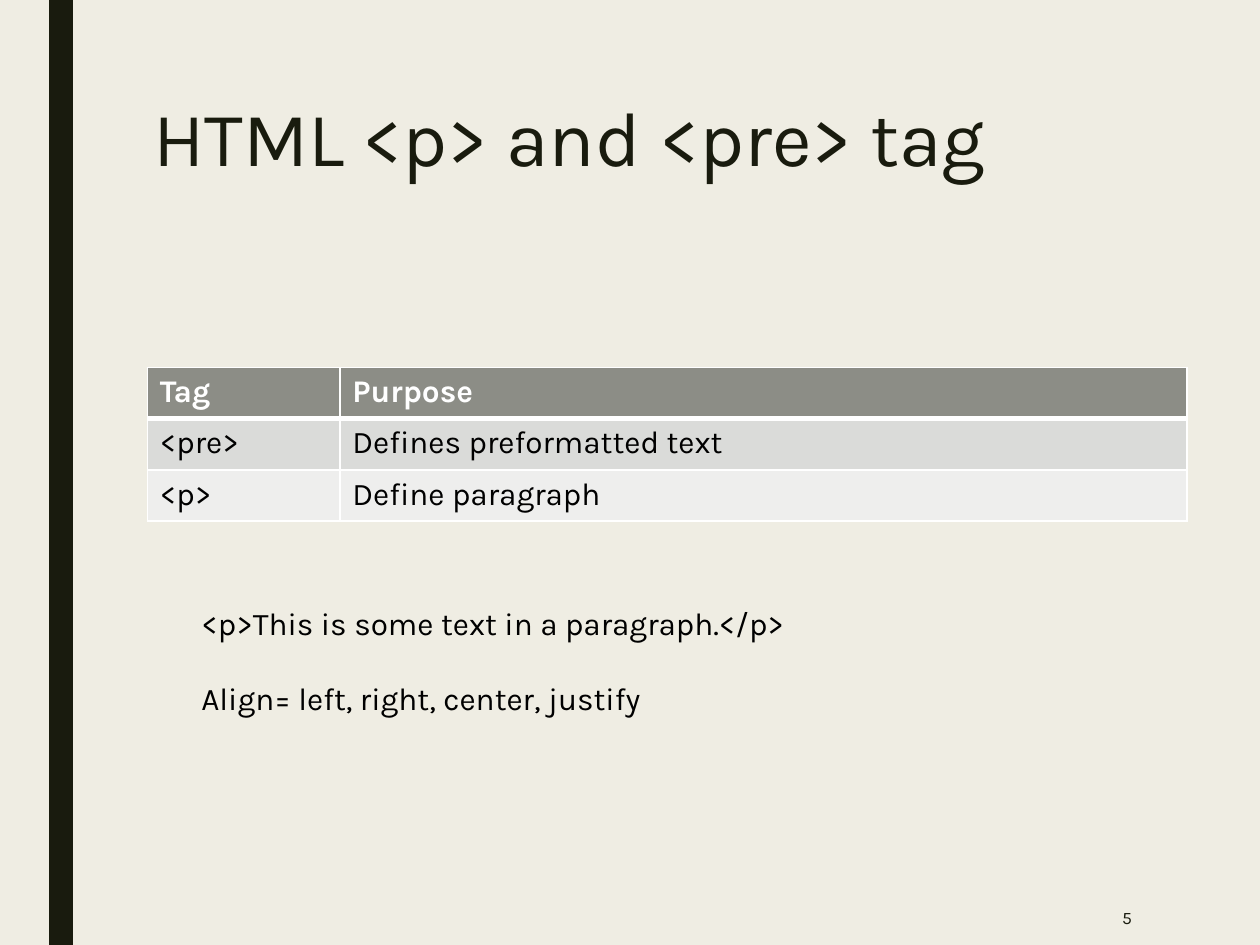
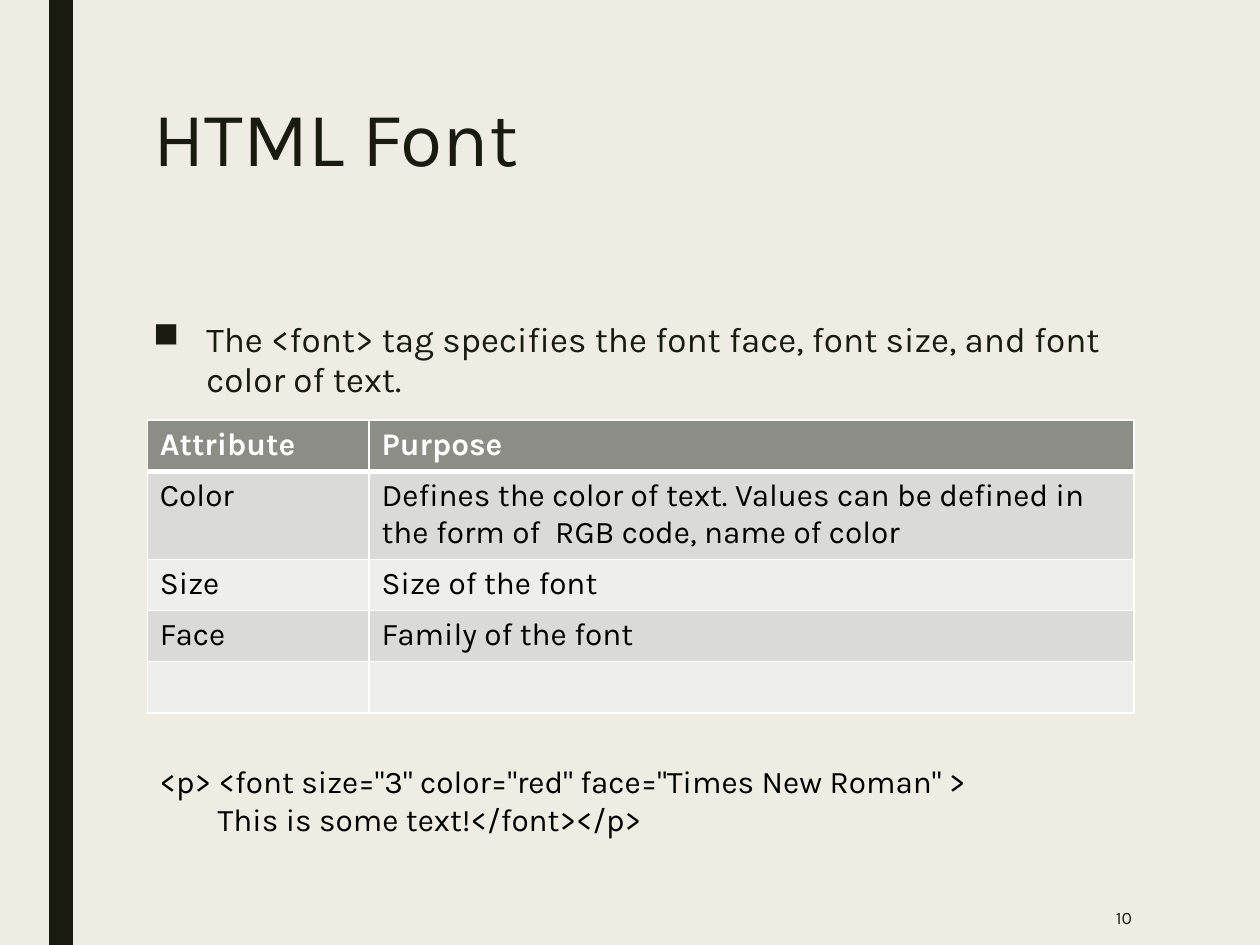
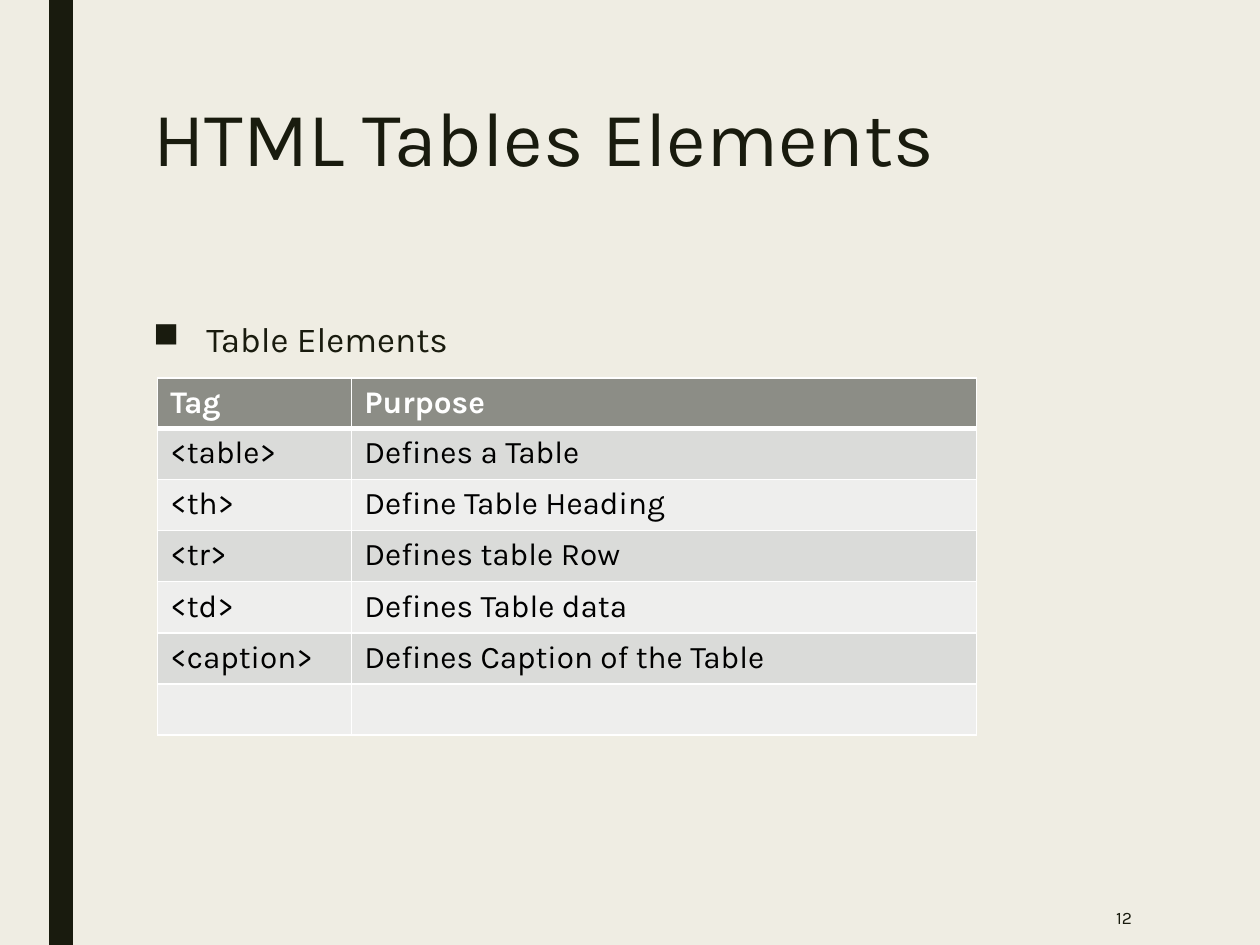
"""Build three slides about HTML tags, each with a title, a table and short notes."""
import pptx
import pptx.dml.color
import pptx.enum.shapes
import pptx.enum.text
import pptx.oxml
import pptx.oxml.ns
import pptx.util
from lxml import etree

Cm = pptx.util.Cm
Pt = pptx.util.Pt

FONT = "Karla"
COLOURS = {
    "background": "EFEDE3",
    "dark": "191B0E",
    "text": "000000",
    "white": "FFFFFF",
    "header": "8C8D86",
    "odd_row": "DADBD9",
    "even_row": "EEEEED",
}

BAND = (0.99, 0, 0.48, 19.05)
TITLE_BOX = (2.84, 1.9, 20.02, 4.11)
BODY_BOX = (2.84, 6.35, 20.02, 9.96)
NUMBER_BOX = (19.74, 17.93, 3.33, 1.12)
ROW_HEIGHT = 1.03
BULLET_INDENT = 1.07

SLIDES = [
    {
        "title": "HTML <p> and <pre> tag",
        "number": "5",
        "table": {
            "left": 2.97, "top": 7.41, "columns": (3.88, 17.08),
            "rows": [
                ("Tag", "Purpose"),
                ("<pre>", "Defines preformatted text"),
                ("<p>", "Define paragraph"),
            ],
        },
        "example": {
            "box": (3.81, 12.06, 20.52, 2.57),
            "lines": ["<p>This is some text in a paragraph.</p>",
                      "Align= left, right, center, justify"],
            "gap": 21, "indent": 0,
        },
    },
    {
        "title": "HTML Font",
        "number": "10",
        "bullet": "The <font> tag specifies the font face, font size, and font color of text.",
        "table": {
            "left": 2.97, "top": 8.47, "columns": (4.47, 15.42),
            "rows": [
                ("Attribute", "Purpose"),
                ("Color", "Defines the color of text. Values can be defined in "
                          "the form of  RGB code, name of color"),
                ("Size", "Size of the font"),
                ("Face", "Family of the font"),
                ("", ""),
            ],
        },
        "example": {
            "box": (2.97, 15.24, 22.43, 1.8),
            "lines": ['<p> <font size="3" color="red" face="Times New Roman" >',
                      "This is some text!</font></p>"],
            "gap": 0, "indent": 1.17,
        },
    },
    {
        "title": "HTML Tables Elements",
        "number": "12",
        "bullet": "Table Elements",
        "table": {
            "left": 3.18, "top": 7.62, "columns": (3.91, 12.6), "header_height": 0.61,
            "rows": [
                ("Tag", "Purpose"),
                ("<table>", "Defines a Table"),
                ("<th>", "Define Table Heading"),
                ("<tr>", "Defines table Row"),
                ("<td>", "Defines Table data"),
                ("<caption>", "Defines Caption of the Table"),
                ("", ""),
            ],
        },
    },
]


def colour(name):
    return pptx.dml.color.RGBColor.from_string(COLOURS[name])


def add_run(paragraph, text, size, colour_name, bold=False):
    run = paragraph.add_run()
    run.text = text
    run.font.name = FONT
    run.font.size = Pt(size)
    run.font.bold = bold
    run.font.color.rgb = colour(colour_name)


def add_text(slide, box, lines, size, colour_name):
    frame = slide.shapes.add_textbox(*map(Cm, box)).text_frame
    frame.word_wrap = True
    for index, line in enumerate(lines):
        paragraph = frame.add_paragraph() if index else frame.paragraphs[0]
        add_run(paragraph, line, size, colour_name)
    return frame


def set_indent(paragraph, left, first_line=0):
    properties = paragraph._p.get_or_add_pPr()
    properties.set("marL", str(Cm(left)))
    properties.set("indent", str(Cm(first_line)))
    return properties


def add_band(slide):
    band = slide.shapes.add_shape(pptx.enum.shapes.MSO_SHAPE.RECTANGLE, *map(Cm, BAND))
    band.shadow.inherit = False
    band.fill.solid()
    band.fill.fore_color.rgb = colour("dark")
    band.line.fill.background()


def add_title(slide, title):
    frame = add_text(slide, TITLE_BOX, [title], 44, "dark")
    frame.paragraphs[0].line_spacing = 0.89


def add_number(slide, number):
    frame = add_text(slide, NUMBER_BOX, [number], 10, "dark")
    frame.vertical_anchor = pptx.enum.text.MSO_ANCHOR.MIDDLE
    frame.paragraphs[0].alignment = pptx.enum.text.PP_ALIGN.RIGHT


def add_bullet(slide, text):
    paragraph = add_text(slide, BODY_BOX, [text], 20, "dark").paragraphs[0]
    paragraph.line_spacing = 0.94
    paragraph.space_before = Pt(10)
    paragraph.space_after = Pt(2)
    properties = set_indent(paragraph, BULLET_INDENT, -BULLET_INDENT)
    etree.SubElement(properties, pptx.oxml.ns.qn("a:buChar")).set("char", "■")


def add_example(slide, example):
    frame = add_text(slide, example["box"], example["lines"], 18, "text")
    for paragraph in frame.paragraphs[1:]:
        paragraph.space_before = Pt(example["gap"])
        set_indent(paragraph, example["indent"])


def set_borders(cell, row_index):
    properties = cell._tc.get_or_add_tcPr()
    widths = {"lnL": 1, "lnR": 1,
              "lnT": 3 if row_index == 1 else 1,
              "lnB": 3 if row_index == 0 else 1}
    for side, width in widths.items():
        line = etree.SubElement(properties, pptx.oxml.ns.qn(f"a:{side}"), w=str(Pt(width)))
        fill = etree.SubElement(line, pptx.oxml.ns.qn("a:solidFill"))
        etree.SubElement(fill, pptx.oxml.ns.qn("a:srgbClr"), val=COLOURS["white"])


def add_table(slide, content):
    rows, columns = content["rows"], content["columns"]
    heights = [content.get("header_height", ROW_HEIGHT)] + [ROW_HEIGHT] * (len(rows) - 1)
    table = slide.shapes.add_table(
        len(rows), len(columns), Cm(content["left"]), Cm(content["top"]),
        Cm(sum(columns)), Cm(sum(heights))).table
    table.horz_banding = False
    for column, width in zip(table.columns, columns):
        column.width = Cm(width)
    for row_index, (values, height) in enumerate(zip(rows, heights)):
        table.rows[row_index].height = Cm(height)
        is_header = row_index == 0
        fill_name = "header" if is_header else "odd_row" if row_index % 2 else "even_row"
        for column_index, value in enumerate(values):
            cell = table.cell(row_index, column_index)
            set_borders(cell, row_index)
            cell.fill.solid()
            cell.fill.fore_color.rgb = colour(fill_name)
            if value:
                add_run(cell.text_frame.paragraphs[0], value, 18,
                        "white" if is_header else "text", is_header)


def main():
    presentation = pptx.Presentation()
    presentation.slide_width, presentation.slide_height = Cm(25.4), Cm(19.05)
    background = presentation.slide_master.background.fill
    background.solid()
    background.fore_color.rgb = colour("background")
    for content in SLIDES:
        slide = presentation.slides.add_slide(presentation.slide_layouts[6])
        add_band(slide)
        add_title(slide, content["title"])
        if "bullet" in content:
            add_bullet(slide, content["bullet"])
        add_number(slide, content["number"])
        add_table(slide, content["table"])
        if "example" in content:
            add_example(slide, content["example"])
    presentation.save("out.pptx")


if __name__ == "__main__":
    main()
